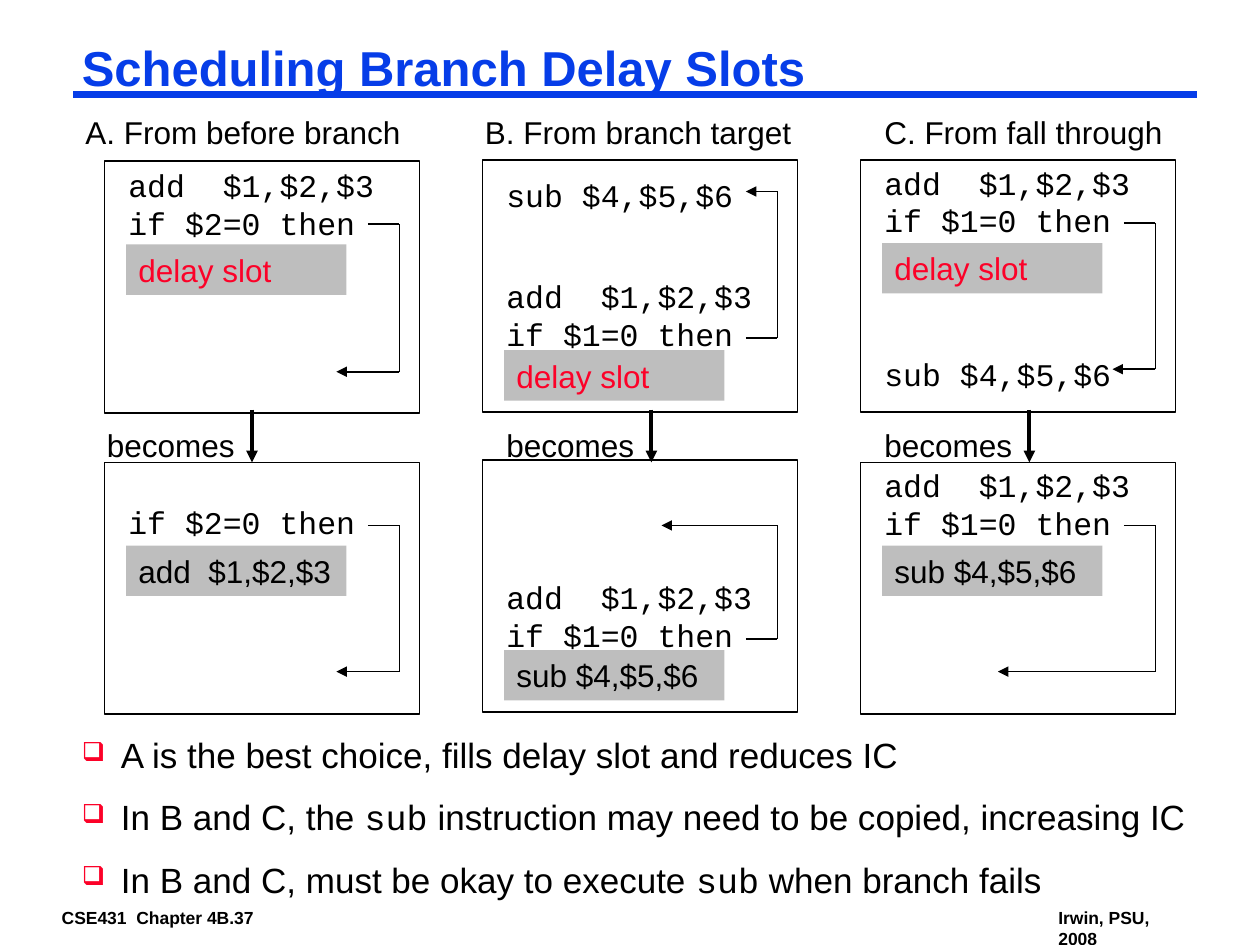
from dataclasses import dataclass

from lxml import etree
from pptx import Presentation
from pptx.dml.color import RGBColor
from pptx.enum.shapes import MSO_CONNECTOR, MSO_SHAPE
from pptx.enum.text import MSO_ANCHOR
from pptx.oxml.ns import qn
from pptx.util import Inches, Pt

RECT = MSO_SHAPE.RECTANGLE
LINE = MSO_CONNECTOR.STRAIGHT
MIDDLE = MSO_ANCHOR.MIDDLE
TOP = MSO_ANCHOR.TOP


@dataclass(frozen=True)
class Theme:
    """Colours, fonts and type sizes."""
    black: str = "000000"
    blue: str = "063DE8"
    red: str = "FC0128"
    grey: str = "BEBEBE"
    sans: str = "Arial"
    mono: str = "Courier New"
    title: int = 28
    body: int = 20
    label: int = 18
    foot: int = 10


THEME = Theme()
WIDE, SLIM = (0.1, 0.05), (0.07, 0.03)


def write(frame, paras, size=THEME.label, font=THEME.sans, color=THEME.black,
          bold=False, inset=WIDE, anchor=TOP, space=None, before=0):
    """Fill a frame; a paragraph is a string or a list of (text, font)."""
    frame.word_wrap = True
    frame.vertical_anchor = anchor
    frame.margin_left = frame.margin_right = Inches(inset[0])
    frame.margin_top = frame.margin_bottom = Inches(inset[1])
    for i, para in enumerate(paras):
        p = frame.add_paragraph() if i else frame.paragraphs[0]
        if space:
            p.line_spacing = space
        if i and before:
            p.space_before = Pt(before)
        for text, face in [(para, font)] if isinstance(para, str) else para:
            run = p.add_run()
            run.text = text
            run.font.name, run.font.size, run.font.bold = face, Pt(size), bold
            run.font.color.rgb = RGBColor.from_string(color)


def sub(node, tag, **attrs):
    """Append a drawing element to a node."""
    return etree.SubElement(node, qn(tag), attrs)


class Page:
    """The slide and its style."""

    def __init__(self, slide, theme):
        """Keep the slide and the theme."""
        self.slide, self.theme = slide, theme

    def text(self, x, y, w, h, *paras, **style):
        """Add a text box."""
        box = self.slide.shapes.add_textbox(*map(Inches, (x, y, w, h)))
        write(box.text_frame, paras, **style)
        return box

    def rect(self, x, y, w, h, fill=None):
        """Add a filled block, or an outlined box when there is no fill."""
        box = self.slide.shapes.add_shape(RECT, *map(Inches, (x, y, w, h)))
        box.shadow.inherit = False
        if fill:
            box.fill.solid()
            box.fill.fore_color.rgb = RGBColor.from_string(fill)
            box.line.fill.background()
        else:
            box.fill.background()
            box.line.color.rgb = RGBColor.from_string(self.theme.black)
            box.line.width = Pt(1)
        return box

    def line(self, start, end, width=1, color=THEME.black, arrow=False):
        """Add a straight line, with an arrowhead at its end if asked."""
        link = self.slide.shapes.add_connector(
            LINE, *map(Inches, (*start, *end)))
        link.line.color.rgb = RGBColor.from_string(color)
        link.line.width = Pt(width)
        if arrow:
            sub(link.line._get_or_add_ln(), "a:tailEnd", type="triangle")
        sub(link._element.spPr, "a:effectLst")

    def slot(self, x, y, text, color):
        """Add a grey delay slot."""
        box = self.rect(x, y, 1.75, 0.4, self.theme.grey)
        write(box.text_frame, [text], color=color, anchor=MIDDLE)
        box.text_frame.paragraphs[0].alignment = 1

    def panel(self, x, y, code, slot, color, path):
        """Add a box with code, its delay slot and the branch path."""
        self.rect(x, y, 2.5, 2)
        for dy, *rows in code:
            self.text(x + 0.09, y + dy, 2.25, 0.1 + 0.3 * len(rows), *rows,
                      font=self.theme.mono)
        self.slot(x + 0.17, y + slot[0], slot[1], color)
        leave, land, tip = path
        spots = [(x + 2.09, y + leave), (x + 2.34, y + leave),
                 (x + 2.34, y + land), (x + tip, y + land)]
        for i, (a, b) in enumerate(zip(spots, spots[1:])):
            self.line(a, b, arrow=i == 2)

    def step(self, x):
        """Add the word and the arrow between two panels."""
        self.text(x, 3.33, 1.25, 0.4, "becomes")
        self.line((x + 1.25, 3.25), (x + 1.25, 3.67), width=2.25, arrow=True)

    def list(self, x, y, w, h, *paras):
        """Add the bulleted list."""
        box = self.text(x, y, w, h, *paras, size=self.theme.body, inset=SLIM,
                        space=0.9, before=14)
        for p in box.text_frame.paragraphs:
            ppr = p._p.get_or_add_pPr()
            ppr.set("marL", str(Inches(0.31)))
            ppr.set("indent", str(Inches(-0.31)))
            sub(sub(ppr, "a:buClr"), "a:srgbClr", val=self.theme.red)
            sub(ppr, "a:buSzPct", val="75000")
            sub(ppr, "a:buChar", char="\u2751")


ADD, SUB = "add  $1,$2,$3", "sub $4,$5,$6"
IF1, IF2 = "if $1=0 then", "if $2=0 then"
WAIT = "delay slot"
HIGH, LOW = 0.66, 1.51  # slot offsets for forward and backward branches

# heading left, heading width, step left
HEADS = [("A. From before branch", 0.58, 2.83, 0.75),
         ("B. From branch target", 3.75, 2.75, 3.92),
         ("C. From fall through", 6.92, 2.58, 6.92)]

# code blocks, slot, path (leave, land, tip)
BEFORE = [
    (1.28, [(-0.01, ADD, IF2)], (HIGH, WAIT), (0.5, 1.67, 1.84)),
    (1.27, [(0.08, SUB), (0.88, ADD, IF1)], (LOW, WAIT), (1.41, 0.25, 2.09)),
    (1.27, [(-0.02, ADD, IF1), (1.5, SUB)], (HIGH, WAIT), (0.5, 1.66, 2)),
]
AFTER = [
    (3.67, [(0.27, IF2)], (HIGH, ADD), (0.5, 1.66, 1.84)),
    (3.65, [(0.89, ADD, IF1)], (LOW, SUB), (1.42, 0.52, 1.42)),
    (3.67, [(-0.02, ADD, IF1)], (HIGH, SUB), (0.5, 1.66, 1.09)),
]


def main():
    """Build and save the slide."""
    deck = Presentation()
    deck.slide_width, deck.slide_height = Inches(10), Inches(7.5)
    page = Page(deck.slides.add_slide(deck.slide_layouts[6]), THEME)

    foot = dict(size=THEME.foot, bold=True, inset=SLIM)
    page.text(0.42, 7.17, 1.8, 0.22, "CSE431  Chapter 4B.37", **foot)
    page.text(8.33, 7.17, 1.2, 0.39, "Irwin, PSU, 2008", **foot)
    page.line((0.58, 0.75), (9.5, 0.75), width=4.5, color=THEME.blue)
    page.text(0.58, 0.33, 8.92, 0.46, "Scheduling Branch Delay Slots",
              size=THEME.title, color=THEME.blue, bold=True, inset=SLIM,
              space=0.87)

    for row, color in ((BEFORE, THEME.red), (AFTER, THEME.black)):
        for i, (top, code, slot, path) in enumerate(row):
            page.panel(0.83 + 3 * i, top, code, slot, color, path)
    for head, left, width, step in HEADS:
        page.text(left, 0.85, width, 0.4, head)
        page.step(step)

    sans, word = THEME.sans, ("sub", THEME.mono)
    page.list(0.58, 5.83, 8.92, 1.26,
              "A is the best choice, fills delay slot and reduces IC",
              [("In B and C, the ", sans), word,
               (" instruction may need to be copied, increasing IC", sans)],
              [("In B and C, must be okay to execute ", sans), word,
               (" when branch fails", sans)])
    deck.save("out.pptx")


main()
